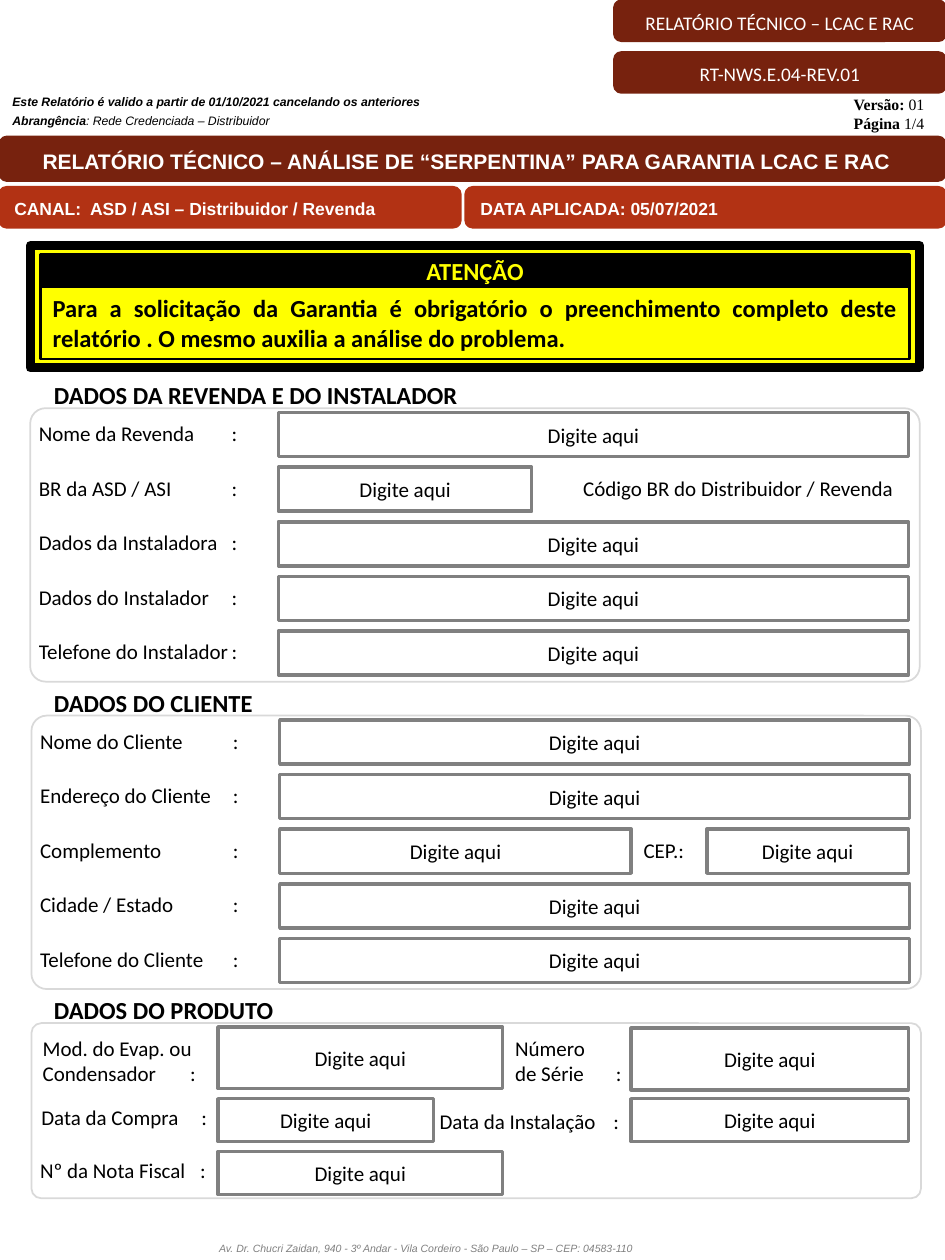
from lxml import etree
from pptx import Presentation
from pptx import util as u
from pptx.dml.color import RGBColor
from pptx.enum import shapes, text
from pptx.oxml import ns

# All lengths are cells of a 75 x 100 grid laid over the slide.
COLS, ROWS = 75, 100
CELL = u.Inches(0.1)
PITCH = 4.33

BROWN = RGBColor(0x77, 0x22, 0x0E)
RUST = RGBColor(0xB2, 0x32, 0x14)
YELLOW = RGBColor(0xFF, 0xFF, 0x00)
BLACK = RGBColor(0x00, 0x00, 0x00)
WHITE = RGBColor(0xFF, 0xFF, 0xFF)
GRAY = RGBColor(0x80, 0x80, 0x80)
PALE = RGBColor(0xD9, 0xD9, 0xD9)

LEFT, MID = text.PP_ALIGN.LEFT, text.PP_ALIGN.CENTER
JUST = text.PP_ALIGN.JUSTIFY
RECT, ROUND = shapes.MSO_SHAPE.RECTANGLE, shapes.MSO_SHAPE.ROUNDED_RECTANGLE


def cells(*nums):
    return [round(n * CELL) for n in nums]


def write(shape, words, size, color=BLACK, face="Calibri", bold=False,
          ital=False, align=LEFT, mid=False, stop=None, loose=False):
    """Fill a shape with text; a line is a string or a list of (text, bold)."""
    frame = shape.text_frame
    frame.word_wrap = True
    frame.auto_size = text.MSO_AUTO_SIZE.NONE
    frame.vertical_anchor = (text.MSO_ANCHOR.MIDDLE if mid
                             else text.MSO_ANCHOR.TOP)
    for i, line in enumerate(words if isinstance(words, list) else [words]):
        para = frame.add_paragraph() if i else frame.paragraphs[0]
        para.alignment = align
        if loose:
            para.line_spacing, para.space_after = 1.15, u.Pt(10)
        if stop:
            tabs = etree.SubElement(para._p.get_or_add_pPr(), ns.qn("a:tabLst"))
            etree.SubElement(tabs, ns.qn("a:tab"),
                             pos=str(cells(stop)[0]), algn="l")
        font = para.font
        font.size, font.name, font.italic = u.Pt(size), face, ital
        font.color.rgb = color
        if isinstance(line, str):
            font.bold = bold
            para.add_run().text = line
        else:
            for part, heavy in line:
                run = para.add_run()
                run.text, run.font.bold = part, heavy
    return frame


def block(slide, box, fill, line, width, kind=RECT):
    shape = slide.shapes.add_shape(kind, *cells(*box))
    shape.shadow.inherit = False
    if fill is None:
        shape.fill.background()
    else:
        shape.fill.solid()
        shape.fill.fore_color.rgb = fill
    shape.line.color.rgb = line
    shape.line.width = u.Pt(width)
    return shape


def note(slide, box, words, size, **style):
    return write(slide.shapes.add_textbox(*cells(*box)), words, size, **style)


def band(slide, box, color):
    return block(slide, box, color, color, 2, ROUND)


def header(slide):
    codes = ["RELATÓRIO TÉCNICO – LCAC E RAC", "RT-NWS.E.04-REV.01"]
    for i, code in enumerate(codes):
        write(band(slide, (48.8, 0.1 + 4.1 * i, 26.2, 3.1), BROWN), code, 11,
              WHITE, align=MID, mid=True, loose=True)
    small = dict(face="Arial", ital=True, loose=True)
    note(slide, (0, 6.8, 43.8, 1.4), "Este Relatório é valido a partir de "
         "01/10/2021 cancelando os anteriores", 7, bold=True, **small)
    note(slide, (0, 8.3, 41.6, 2.3), [[("Abrangência", True),
         (": Rede Credenciada – Distribuidor", False)]], 7, **small)
    frame = note(slide, (66.3, 7.3, 8.5, 3.5),
                 [[("Versão:", True), (" 01", False)],
                  [("Página ", True), ("1/4", False)]], 9,
                 face="Times New Roman", align=MID, mid=True)
    frame.margin_left = frame.margin_right = 0
    frame.margin_top = frame.margin_bottom = 0


def banner(slide):
    box = (0, 10.9, COLS, 3.4)
    bold = dict(face="Arial", bold=True, mid=True, loose=True)
    band(slide, box, BROWN)
    title = slide.shapes.title
    title.left, title.top, title.width, title.height = cells(*box)
    frame = write(title, "RELATÓRIO TÉCNICO – ANÁLISE DE “SERPENTINA” PARA "
                  "GARANTIA LCAC E RAC", 12, WHITE, align=MID, **bold)
    frame.margin_right = cells(1.9)[0]
    slide.shapes._spTree.append(title._element)
    for x, w, words in [(0, 36.5, "CANAL:  ASD / ASI – Distribuidor / Revenda"),
                        (37, 38, "DATA APLICADA: 05/07/2021")]:
        write(band(slide, (x, 14.9, w, 3.1), RUST), words, 10, WHITE, **bold)


def alert(slide, x, y, w, h):
    block(slide, (x, y, w, h), YELLOW, BLACK, 5.25)
    body = block(slide, (x + 0.8, y + 0.9, w - 1.6, h - 1.6),
                 YELLOW, BLACK, 1.5)
    frame = write(body, "Para a solicitação da Garantia é obrigatório o "
                  "preenchimento completo deste relatório . O mesmo auxilia "
                  "a análise do problema.", 14, bold=True, align=JUST)
    frame.margin_top = cells(2.88)[0]
    head = block(slide, (x + 0.8, y + 0.7, w - 1.6, 2.5), BLACK, BLACK, 2)
    write(head, "ATENÇÃO", 14, YELLOW, bold=True, align=MID, mid=True)


def form(slide, box, title, labels, fields):
    """Panel with a heading; label and field places count from its corner."""
    x, y = box[:2]
    block(slide, box, None, PALE, 1, ROUND).adjustments[0] = 0.056
    note(slide, (3.3, y - 2.7, 40, 3.4), title, 14, bold=True)
    for dx, dy, w, words, stop in labels:
        note(slide, (x + dx, y + dy, w, 3), words, 12, stop=stop)
    for dx, dy, w, h in fields:
        write(block(slide, (x + dx, y + dy, w, h), None, GRAY, 2),
              "Digite aqui", 12, align=MID, mid=True)


def rows(slide, box, title, names, splits, extra):
    """Form of evenly spaced rows; splits maps a row to its field spans."""
    labels = [(-0.3, 0.5 + PITCH * i, 20, f"{name}\t:", 15.3)
              for i, name in enumerate(names)]
    fields = [(dx, 0.35 + PITCH * i, w, 3.5) for i in range(len(names))
              for dx, w in splits.get(i, [(19.7, 50)])]
    labels += [(dx, 0.5 + PITCH * i, w, words, None)
               for i, dx, w, words in extra]
    form(slide, box, title, labels, fields)


def product(slide, box):
    labels = [(-0.1, 0.5, 14.9, "Mod. do Evap. ou Condensador\t:", 11.7),
              (37.4, 0.5, 10.7, ["Número", "de Série\t:"], 8),
              (-0.2, 6, 16, "Data da Compra\t:", 12.7),
              (31.4, 6.3, 16.5, "Data da Instalação\t:", 13.8),
              (-0.3, 10.2, 16, "Nº da Nota Fiscal\t:", 12.7)]
    near, far = 14.8, 47.6
    fields = [(near, 0.3, 22.6, 4.9), (far, 0.4, 22, 4.9),
              (near, 6, 17.1, 3.4), (far, 6, 22, 3.4),
              (near, 10.2, 22.6, 3.4)]
    form(slide, box, "DADOS DO PRODUTO", labels, fields)


def main():
    deck = Presentation()
    deck.slide_width, deck.slide_height = cells(COLS, ROWS)
    slide = deck.slides.add_slide(deck.slide_layouts[5])
    header(slide)
    banner(slide)
    alert(slide, 2.4, 19.5, 70.6, 9.7)
    rows(slide, (2.4, 32.4, 70.6, 21.7), "DADOS DA REVENDA E DO INSTALADOR",
         ["Nome da Revenda", "BR da ASD / ASI", "Dados da Instaladora",
          "Dados do Instalador", "Telefone do Instalador"],
         {1: [(19.7, 20.1)]},
         [(1, 42.9, 27.6, "Código BR do Distribuidor / Revenda")])
    rows(slide, (2.5, 56.8, 70.6, 21.7), "DADOS DO CLIENTE",
         ["Nome do Cliente", "Endereço do Cliente", "Complemento",
          "Cidade / Estado", "Telefone do Cliente"],
         {2: [(19.7, 27.9), (53.6, 16)]}, [(2, 47.6, 6, "CEP.:")])
    product(slide, (2.5, 81.2, 70.6, 13.9))
    note(slide, (0, 97.9, 67.6, 2.1), "Av. Dr. Chucri Zaidan, 940 - 3º Andar - "
         "Vila Cordeiro - São Paulo – SP – CEP: 04583-110", 6, color=GRAY,
         face="Arial", ital=True, align=MID, loose=True)
    deck.save("out.pptx")


if __name__ == "__main__":
    main()
